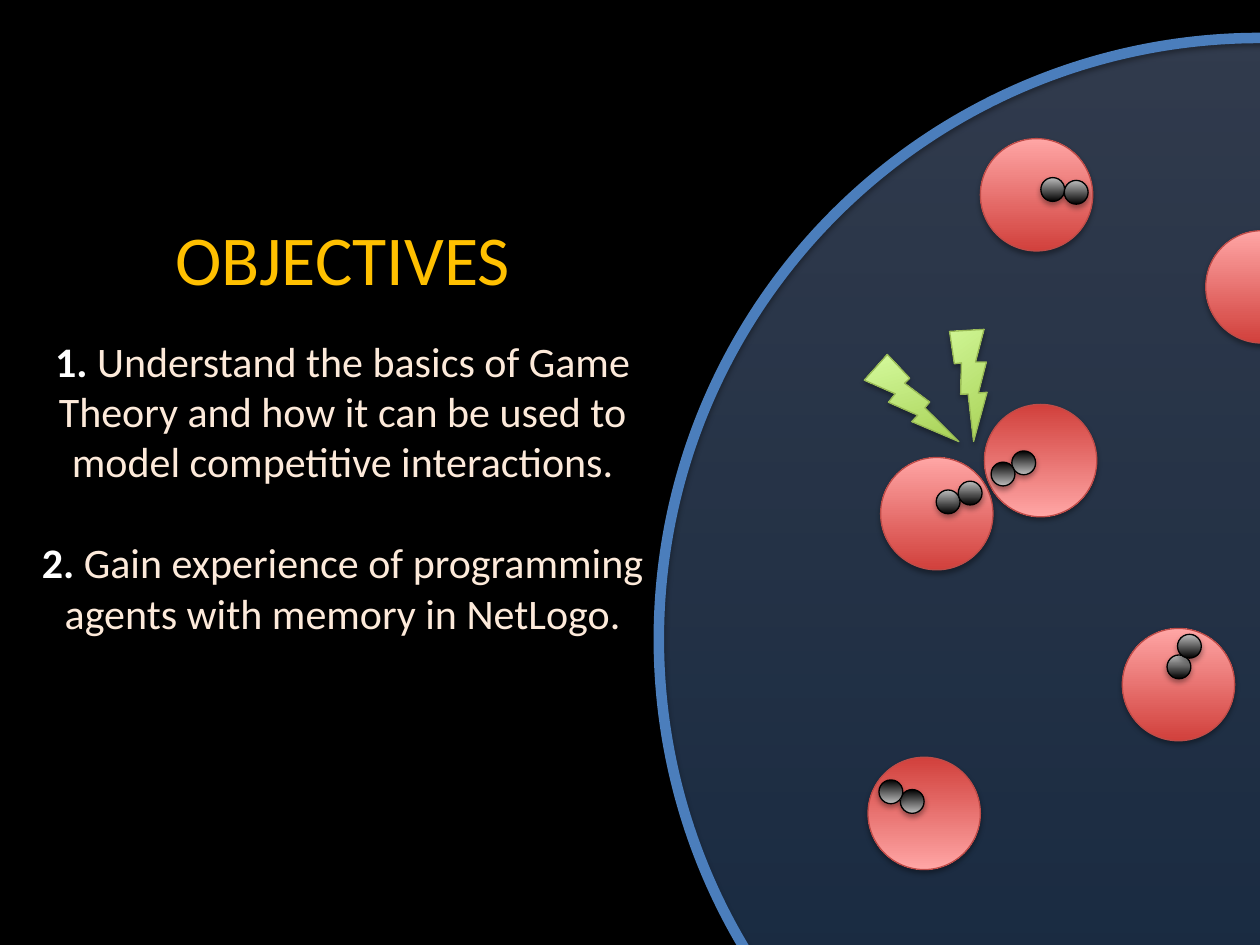
from lxml.etree import SubElement
from pptx import Presentation
from pptx.dml.color import RGBColor
from pptx.enum.shapes import MSO_SHAPE as Preset
from pptx.enum.text import MSO_ANCHOR, PP_ALIGN
from pptx.oxml.ns import qn
from pptx.util import Pt

BLACK = RGBColor(0x00, 0x00, 0x00)
WHITE = RGBColor(0xFF, 0xFF, 0xFF)
GOLD = RGBColor(0xFF, 0xC0, 0x00)
CREAM = RGBColor(0xFD, 0xEA, 0xDA)

# Each palette: bottom colour, top colour, line colour
DISH = (RGBColor(0x3F, 0x80, 0xCE), RGBColor(0xA4, 0xC4, 0xFF), RGBColor(0x4B, 0x7E, 0xBC))
AGENT = (RGBColor(0xD1, 0x40, 0x3C), RGBColor(0xFF, 0xA6, 0xA5), RGBColor(0xBF, 0x4C, 0x48))
MEMORY = (BLACK, RGBColor(0xBD, 0xBD, 0xBD), BLACK)
BOLT = (RGBColor(0xA0, 0xCA, 0x4A), RGBColor(0xDA, 0xFF, 0xA5), RGBColor(0x98, 0xB9, 0x55))

HEADING = "OBJECTIVES"
# Number, objective, space before
OBJECTIVES = [
    ("1. ", "Understand the basics of Game Theory and how it can be used to "
            "model competitive interactions.", 20),
    ("2. ", "Gain experience of programming agents with memory in NetLogo.", 29),
]

DISH_BOX = (376.5, 21.7, 687, 687)
AGENT_SIZE, MEMORY_SIZE = 64.2, 13.6
UPRIGHT, INVERTED = 90, 270
# Agent left, top, gradient angle, offsets of its memory cells
AGENTS = [
    (503.2, 261.4, UPRIGHT, [(31.8, 18.6), (44.4, 13.6)]),
    (562.5, 231.1, INVERTED, [(15.7, 26.6), (3.9, 33)]),
    (496, 432.7, INVERTED, [(18.5, 18.5), (6.3, 13)]),
    (689, 131.8, UPRIGHT, []),
    (641.3, 359.1, UPRIGHT, [(25.6, 15.2), (31.6, 3.4)]),
    (560.2, 79.2, UPRIGHT, [(34.6, 22.3), (48, 23.9)]),
]
# Bolt left, top, rotation, mirrored
BOLTS = [(498.2, 200.2, 344.3, False), (535, 186.5, 324.1, True)]
BOLT_SIZE = (42.5, 59)


def add_shadow(shape):
    shape.shadow.inherit = False
    effects = shape._element.spPr.find(qn("a:effectLst"))
    shadow = SubElement(effects, qn("a:outerShdw"), blurRad=str(Pt(3.1)),
                        dist=str(Pt(1.8)), dir="5400000", rotWithShape="0")
    colour = SubElement(shadow, qn("a:srgbClr"), val=str(BLACK))
    SubElement(colour, qn("a:alpha"), val="35000")


def add_body(slide, preset, box, palette, angle=UPRIGHT, line_width=0.75):
    """Add a shape with a shadow; an angle of None leaves it unfilled."""
    shape = slide.shapes.add_shape(preset, *(Pt(value) for value in box))
    if angle is None:
        shape.fill.background()
    else:
        shape.fill.gradient()
        shape.fill.gradient_angle = angle
        for stop, colour, position in zip(shape.fill.gradient_stops, palette, (0, 1)):
            stop.color.rgb = colour
            stop.position = position
    shape.line.color.rgb = palette[2]
    shape.line.width = Pt(line_width)
    add_shadow(shape)
    return shape


def add_text(slide):
    box = slide.shapes.add_textbox(Pt(0), Pt(21.6), Pt(391.7), Pt(468.7))
    frame = box.text_frame
    frame.word_wrap = True
    frame.vertical_anchor = MSO_ANCHOR.MIDDLE
    frame.margin_bottom = Pt(27.6)

    heading = frame.paragraphs[0]
    heading.text = HEADING
    heading.font.size = Pt(40)
    heading.font.color.rgb = GOLD
    for number, objective, gap in OBJECTIVES:
        paragraph = frame.add_paragraph()
        paragraph.space_before = Pt(gap)
        paragraph.font.size = Pt(24)
        for words, colour, bold in ((number, WHITE, True), (objective, CREAM, False)):
            run = paragraph.add_run()
            run.text = words
            run.font.color.rgb = colour
            run.font.bold = bold
    for paragraph in frame.paragraphs:
        paragraph.alignment = PP_ALIGN.CENTER
        paragraph.font.name = "Calibri"


def main():
    deck = Presentation()
    deck.slide_width, deck.slide_height = Pt(720), Pt(540)
    slide = deck.slides.add_slide(deck.slide_layouts[6])
    slide.background.fill.solid()
    slide.background.fill.fore_color.rgb = BLACK

    add_text(slide)

    # Dish: translucent body, then a thick rim
    dish = add_body(slide, Preset.OVAL, DISH_BOX, DISH)
    for colour in dish._element.spPr.find(qn("a:gradFill")).iter(qn("a:srgbClr")):
        SubElement(colour, qn("a:alpha"), val="29000")
    add_body(slide, Preset.OVAL, DISH_BOX, DISH, angle=None, line_width=6)

    # Agents with their memory cells
    for left, top, angle, offsets in AGENTS:
        add_body(slide, Preset.OVAL, (left, top, AGENT_SIZE, AGENT_SIZE), AGENT, angle)
        for dx, dy in offsets:
            add_body(slide, Preset.OVAL, (left + dx, top + dy, MEMORY_SIZE, MEMORY_SIZE),
                     MEMORY, angle)

    # Lightning bolts over the meeting agents
    for left, top, rotation, mirrored in BOLTS:
        bolt = add_body(slide, Preset.LIGHTNING_BOLT, (left, top, *BOLT_SIZE), BOLT)
        bolt.rotation = rotation
        if mirrored:
            bolt._element.spPr.find(qn("a:xfrm")).set("flipH", "1")

    deck.save("out.pptx")


if __name__ == "__main__":
    main()
